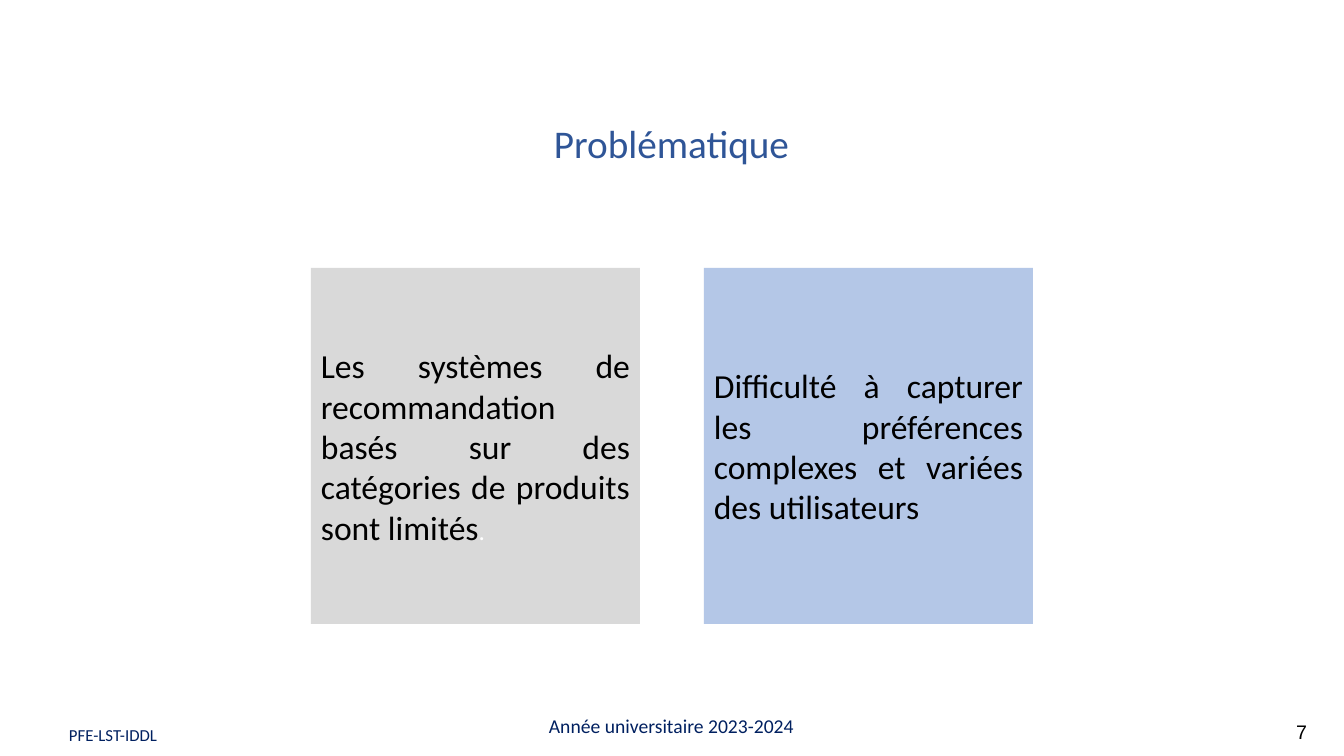
from pptx import Presentation
from pptx.dml.color import RGBColor
from pptx.enum.shapes import MSO_SHAPE as Preset
from pptx.enum.text import MSO_ANCHOR as Anchor, PP_ALIGN as Align
from pptx.util import Emu, Pt

SLIDE_WIDTH, SLIDE_HEIGHT = 1344, 756
EMU_PER_PX = 914400 / 100.8
CARD_LEFT, CARD_TOP, CARD_WIDTH, CARD_HEIGHT = 311, 268, 329, 356
CARD_GAP = 64
NAVY = "002060"
PROBLEMS = [
    ("Les systèmes de recommandation basés sur des catégories de produits sont limités", "D9D9D9"),
    ("Difficulté à capturer les préférences complexes et variées des utilisateurs", "B4C7E7"),
]


def px(length):
    return Emu(round(length * EMU_PER_PX))


def color(value):
    return RGBColor.from_string(value)


def style(font, size, ink, face="Calibri"):
    font.name = face
    font.size = Pt(size)
    font.color.rgb = color(ink)


def write(holder, text, size, ink, align, anchor=Anchor.TOP, face="Calibri"):
    frame = holder.text_frame
    frame.word_wrap = True
    frame.vertical_anchor = anchor
    paragraph = frame.paragraphs[0]
    paragraph.alignment = align
    paragraph.add_run().text = text
    style(paragraph.font, size, ink, face)
    return paragraph


def add_panel(slide, box, fill):
    panel = slide.shapes.add_shape(Preset.RECTANGLE, *map(px, box))
    panel.shadow.inherit = False
    panel.fill.solid()
    panel.fill.fore_color.rgb = color(fill)
    panel.line.fill.background()
    return panel


def add_problem(slide, column, text, fill):
    left = CARD_LEFT + column * (CARD_WIDTH + CARD_GAP)
    card = add_panel(slide, (left, CARD_TOP, CARD_WIDTH, CARD_HEIGHT), fill)
    return write(card, text, 24, "000000", Align.JUSTIFY, Anchor.MIDDLE)


def add_label(slide, box, *text_style):
    label = slide.shapes.add_textbox(*map(px, box))
    write(label, *text_style)


def main():
    deck = Presentation()
    deck.slide_width, deck.slide_height = px(SLIDE_WIDTH), px(SLIDE_HEIGHT)
    slide = deck.slides.add_slide(deck.slide_layouts[6])

    statements = [add_problem(slide, column, *problem) for column, problem in enumerate(PROBLEMS)]
    full_stop = statements[0].add_run()
    full_stop.text = "."
    style(full_stop.font, 18, "FFFFFF")

    add_label(slide, (397, 114, 549, 57), "Problématique", 28, "2F5597", Align.CENTER)
    add_label(slide, (1082, 712, 235, 40), "7", 14, "000000", Align.RIGHT, Anchor.MIDDLE, "Arial")

    program = add_panel(slide, (55, 721, 1008, 27), "FFFFFF")
    write(program, "PFE-LST-IDDL", 12, NAVY, Align.LEFT, Anchor.MIDDLE)
    program.text_frame.margin_left = px(14)

    add_label(slide, (336, 709, 671, 34), "Année universitaire 2023-2024", 14, NAVY, Align.CENTER)
    deck.save("out.pptx")


if __name__ == "__main__":
    main()
